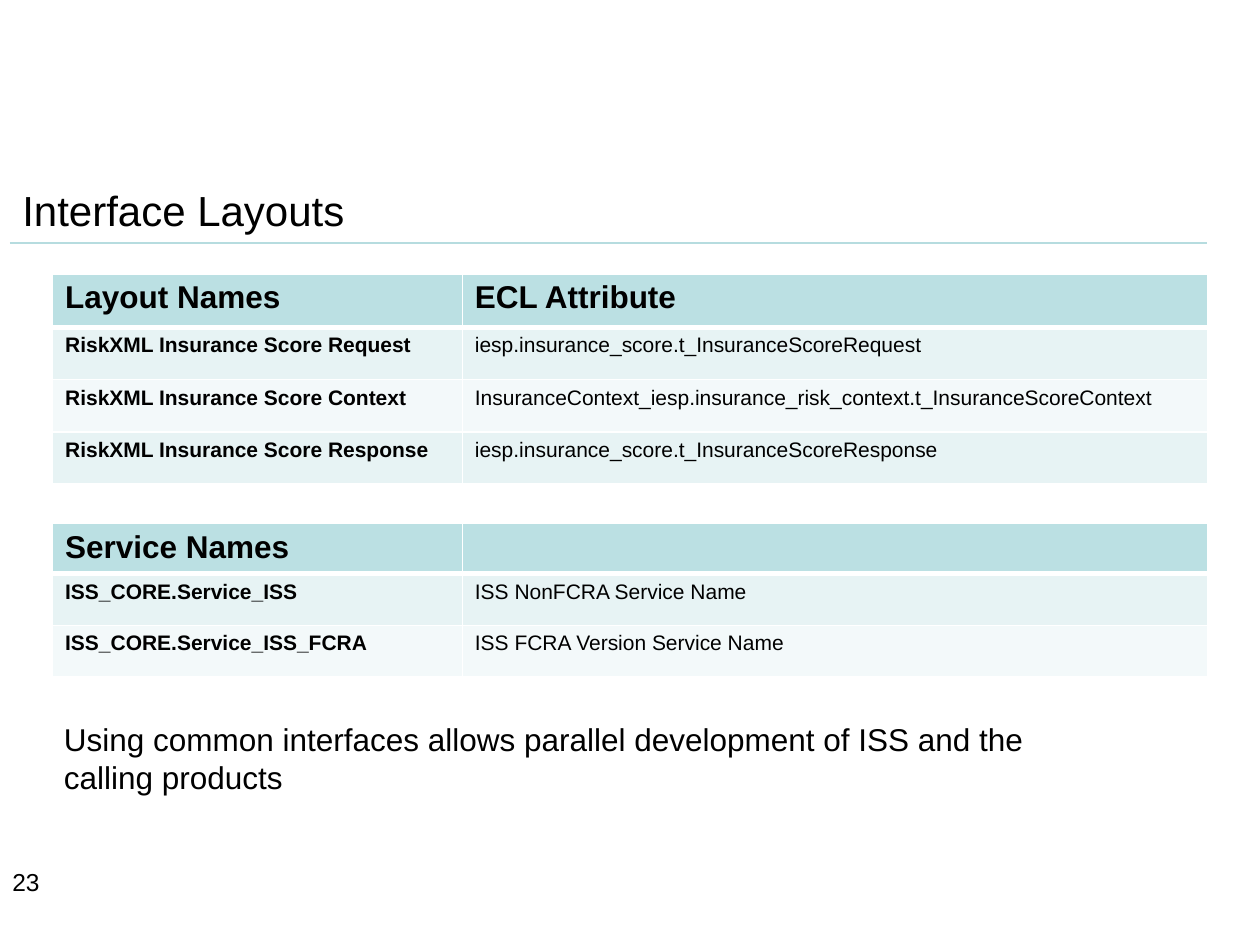
import dataclasses

import lxml.etree
import pptx
import pptx.dml.color
import pptx.enum.shapes
import pptx.enum.text
import pptx.oxml.ns
import pptx.util

Cm = pptx.util.Cm
Pt = pptx.util.Pt
qn = pptx.oxml.ns.qn


@dataclasses.dataclass(frozen=True)
class Theme:
    """Colours, type sizes and line widths of the slide."""
    font: str = "Arial"
    ink: str = "000000"
    rule: str = "B6DCDF"
    edge: str = "FFFFFF"
    head: str = "BBE0E3"
    bands: tuple = ("E7F3F4", "F3F9FA")
    title: int = 24
    large: int = 18
    page: int = 14
    small: int = 12
    thin: float = 0.75
    grid: int = 1
    thick: int = 3


THEME = Theme()

LAYOUTS = [
    ("Layout Names", "ECL Attribute"),
    ("RiskXML Insurance Score Request",
     "iesp.insurance_score.t_InsuranceScoreRequest"),
    ("RiskXML Insurance Score Context",
     "InsuranceContext_iesp.insurance_risk_context.t_InsuranceScoreContext"),
    ("RiskXML Insurance Score Response",
     "iesp.insurance_score.t_InsuranceScoreResponse"),
]
SERVICES = [
    ("Service Names", ""),
    ("ISS_CORE.Service_ISS", "ISS NonFCRA Service Name"),
    ("ISS_CORE.Service_ISS_FCRA", "ISS FCRA Version Service Name"),
]


def color(code):
    """Return the RGB colour for a hex code."""
    return pptx.dml.color.RGBColor.from_string(code)


def write(frame, lines, size, bold=False):
    """Fill a text frame with one paragraph per line."""
    style = {"name": THEME.font, "size": Pt(size), "bold": bold}
    for index, line in enumerate(lines):
        para = frame.add_paragraph() if index else frame.paragraphs[0]
        font = para.add_run().font if line else para.font
        if line:
            para.runs[0].text = line
        for key, value in style.items():
            setattr(font, key, value)
        font.color.rgb = color(THEME.ink)


def add_text(slide, box, lines, size, wrap=True):
    """Place a text box in the given box."""
    frame = slide.shapes.add_textbox(*map(Cm, box)).text_frame
    frame.word_wrap = wrap
    write(frame, lines, size)


def add_title(slide, box, text):
    """Place the title in the box with a rule along its lower edge."""
    left, top, width, height = box
    add_text(slide, box, [text], THEME.title)
    base = Cm(top + height)
    rule = slide.shapes.add_connector(
        pptx.enum.shapes.MSO_CONNECTOR.STRAIGHT,
        Cm(left), base, Cm(left + width), base)
    rule.line.color.rgb = color(THEME.rule)
    rule.line.width = Pt(THEME.thin)
    lxml.etree.SubElement(rule._element.spPr, qn("a:effectLst"))


def add_edges(cell, widths):
    """Draw the four cell borders, given as side and width pairs."""
    props = cell._tc.get_or_add_tcPr()
    for side, width in widths.items():
        line = lxml.etree.SubElement(
            props, qn(f"a:ln{side}"), w=str(int(Pt(width))))
        fill = lxml.etree.SubElement(line, qn("a:solidFill"))
        lxml.etree.SubElement(fill, qn("a:srgbClr"), val=THEME.edge)


def add_grid(slide, box, data, split, first):
    """Place a two-column table with a header row in the given box."""
    left, top, width, height = box
    table = slide.shapes.add_table(len(data), 2, *map(Cm, box)).table
    table.horz_banding = False
    rest = (height - first) / (len(data) - 1)
    for column, size in zip(table.columns, (split, width - split)):
        column.width = Cm(size)
    for r, row in enumerate(data):
        table.rows[r].height = Cm(rest if r else first)
        shade = THEME.bands[(r - 1) % 2] if r else THEME.head
        edges = dict.fromkeys("LRTB", THEME.grid)
        if r < 2:
            edges["T" if r else "B"] = THEME.thick
        for c, text in enumerate(row):
            cell = table.cell(r, c)
            add_edges(cell, edges)
            cell.fill.solid()
            cell.fill.fore_color.rgb = color(shade)
            write(cell.text_frame, [text],
                  THEME.small if r else THEME.large, r == 0 or c == 0)


def main():
    """Build the slide and save it."""
    deck = pptx.Presentation()
    deck.slide_width, deck.slide_height = Cm(25.4), Cm(19.05)
    slide = deck.slides.add_slide(deck.slide_layouts[6])
    add_title(slide, (0.2, 3.6, 24.13, 1.3), "Interface Layouts")
    add_text(slide, (0, 17.35, 5.92, 1.32), ["23"], THEME.page)
    add_grid(slide, (1.06, 5.52, 23.28, 4.24), LAYOUTS, 8.26, 1.08)
    add_text(slide, (1.04, 14.4, 20.22, 1.8),
             ["Using common interfaces allows parallel development of ISS and the",
              "calling products"], THEME.large, False)
    add_grid(slide, (1.06, 10.55, 23.28, 3.07), SERVICES, 8.26, 0.99)
    deck.save("out.pptx")


if __name__ == "__main__":
    main()
